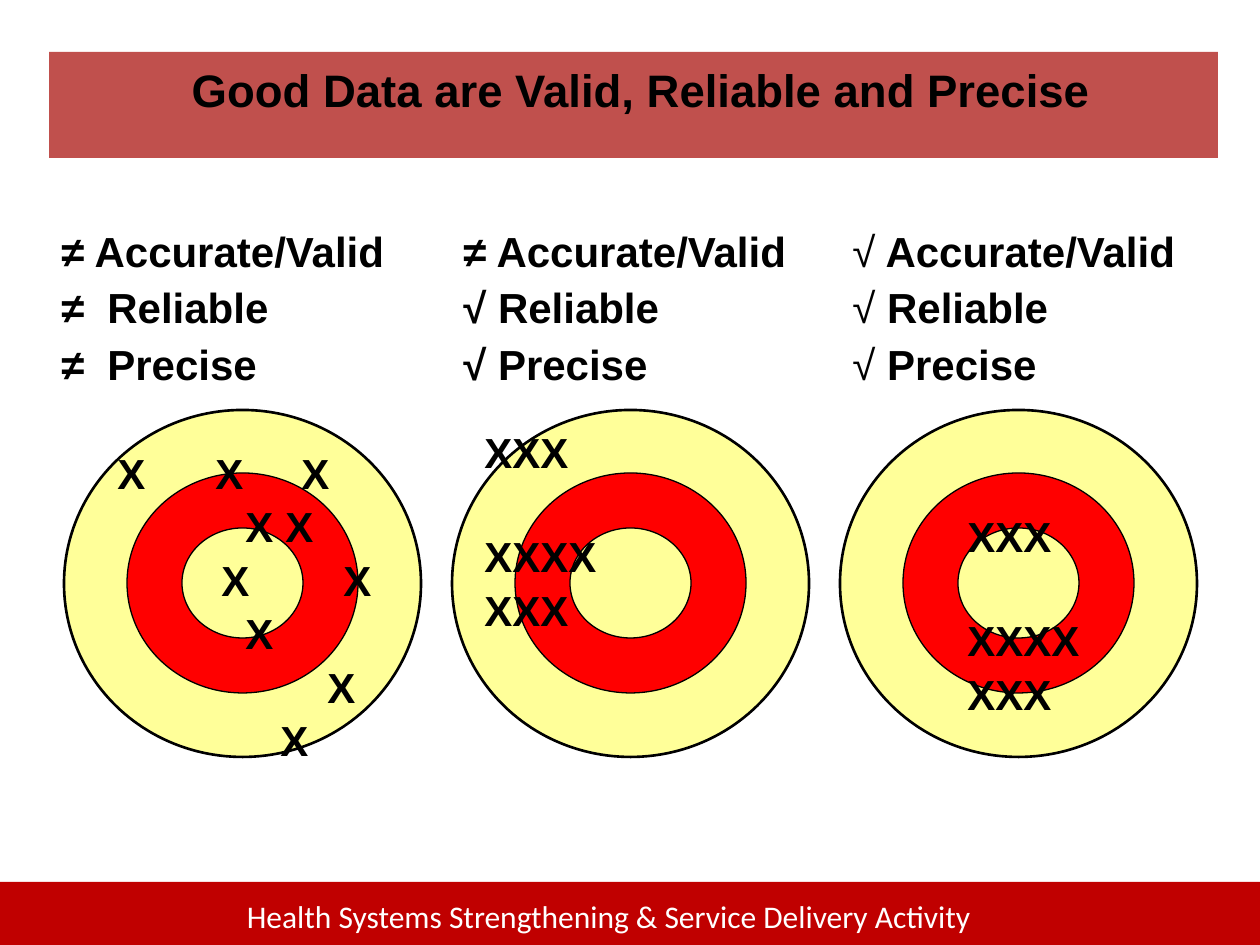
from pptx import Presentation
from pptx.dml.color import RGBColor
from pptx.enum.shapes import MSO_SHAPE as Shape
from pptx.enum.text import MSO_ANCHOR as Anchor, PP_ALIGN as Align
from pptx.oxml.ns import qn
from pptx.util import Emu, Pt
from lxml.etree import SubElement

PX = 914400 // 126
WIDTH, HEIGHT = 1260, 945
COLORS = {"banner": "C0504D", "footer": "C00000", "outer": "FFFF99",
          "ring": "FF0000", "black": "000000", "white": "FFFFFF"}

TITLE = "Good Data are Valid, Reliable and Precise"
FOOTER = "Health Systems Strengthening & Service Delivery Activity"

# Each criterion: mark, gap, word; a tab is a wider gap
CRITERIA = [
    {"left": 49, "bold_mark": True,
     "lines": [("≠", " ", "Accurate/Valid"), ("≠", "\t", "Reliable"), ("≠", "\t", "Precise")]},
    {"left": 451, "bold_mark": True,
     "lines": [("≠", " ", "Accurate/Valid"), ("√", " ", "Reliable"), ("√", " ", "Precise")]},
    {"left": 840, "bold_mark": False,
     "lines": [("√", " ", "Accurate/Valid"), ("√", " ", "Reliable"), ("√", " ", "Precise")]},
]
CRITERIA_TOP, WORD_TAB = 219, 46

# Offsets of the scattered hits in each row, from the left of the text
SCATTER = [(0, 98, 184), (128, 168), (104, 226), (128,), (210,), (163,)]
SCATTER_BOX = (105, 441, 284, 320)
CLUSTER = ["XXX", "XXXX", "XXX"]
CLUSTER_BOXES = [(472, 420, 179, 220), (955, 504, 168, 220)]
CLUSTER_GAPS = [1.75, 31, 1.75]

TARGET_CENTER, TARGET_PITCH = (630, 583), 388
OUTER_SIZE, RING_SIZE = (357, 347), (231, 220)


def px(value):
    return Emu(value * PX)


def color(name):
    return RGBColor.from_string(COLORS[name])


def add_shape(slide, kind, box, fill, line_width=None):
    shape = slide.shapes.add_shape(kind, *map(px, box))
    shape.shadow.inherit = False
    shape.fill.solid()
    shape.fill.fore_color.rgb = color(fill)
    if line_width:
        shape.line.color.rgb = color("black")
        shape.line.width = Pt(line_width)
    else:
        shape.line.fill.background()
    return shape


def write(shape, lines, size=24, font="Arial", ink="black", align=Align.LEFT,
          before=(0,), tabs=()):
    """Fill a shape with lines of (text, bold) runs; tabs holds px stops per line."""
    frame = shape.text_frame
    frame.word_wrap = True
    frame.vertical_anchor = Anchor.TOP
    for index, runs in enumerate(lines):
        paragraph = frame.add_paragraph() if index else frame.paragraphs[0]
        paragraph.alignment = align
        paragraph.space_before = Pt(before[index % len(before)])
        for text, bold in runs:
            run = paragraph.add_run()
            run.text = text
            run.font.size, run.font.name, run.font.bold = Pt(size), font, bold
            run.font.color.rgb = color(ink)
        if tabs:
            tab_list = SubElement(paragraph._p.get_or_add_pPr(), qn("a:tabLst"))
            for stop in tabs[index % len(tabs)]:
                SubElement(tab_list, qn("a:tab"), pos=str(px(stop)), algn="l")
    return frame


def add_text(slide, box, lines, **text_format):
    return write(slide.shapes.add_textbox(*map(px, box)), lines, **text_format)


def add_target(slide, center_x):
    parts = [(Shape.OVAL, OUTER_SIZE, "outer", 1.5), (Shape.DONUT, RING_SIZE, "ring", 0.75)]
    for kind, (width, height), fill, line_width in parts:
        box = (center_x - width // 2, TARGET_CENTER[1] - height // 2, width, height)
        shape = add_shape(slide, kind, box, fill, line_width)
        if kind == Shape.DONUT:
            shape.adjustments[0] = 0.25


def main():
    presentation = Presentation()
    presentation.slide_width, presentation.slide_height = px(WIDTH), px(HEIGHT)
    slide = presentation.slides.add_slide(presentation.slide_layouts[6])

    add_shape(slide, Shape.RECTANGLE, (0, 882, WIDTH, 63), "footer")
    add_text(slide, (-21, 891, WIDTH, 50), [[(FOOTER, False)]], size=18,
             font="Calibri", ink="white", align=Align.CENTER)

    banner = add_shape(slide, Shape.RECTANGLE, (49, 52, 1169, 106), "banner")
    frame = write(banner, [[(TITLE, True)]], size=26, align=Align.CENTER)
    frame.margin_left, frame.margin_top = px(28), px(10)

    for column in (-1, 0, 1):
        add_target(slide, TARGET_CENTER[0] + column * TARGET_PITCH)

    scatter = [[("\t".join(["" if row[0] else "X"] + ["X"] * (len(row) - (row[0] == 0))), True)]
               for row in SCATTER]
    stops = [[x for x in row if x] for row in SCATTER]
    add_text(slide, SCATTER_BOX, scatter, before=(1.75,), tabs=stops)
    for box in CLUSTER_BOXES:
        add_text(slide, box, [[(hits, True)] for hits in CLUSTER], before=CLUSTER_GAPS)

    for group in CRITERIA:
        lines = [[(mark, group["bold_mark"]), (gap + word, True)]
                 for mark, gap, word in group["lines"]]
        add_text(slide, (group["left"], CRITERIA_TOP, 385, 175), lines,
                 before=(3.5,), tabs=[[WORD_TAB]])

    presentation.save("out.pptx")


if __name__ == "__main__":
    main()
